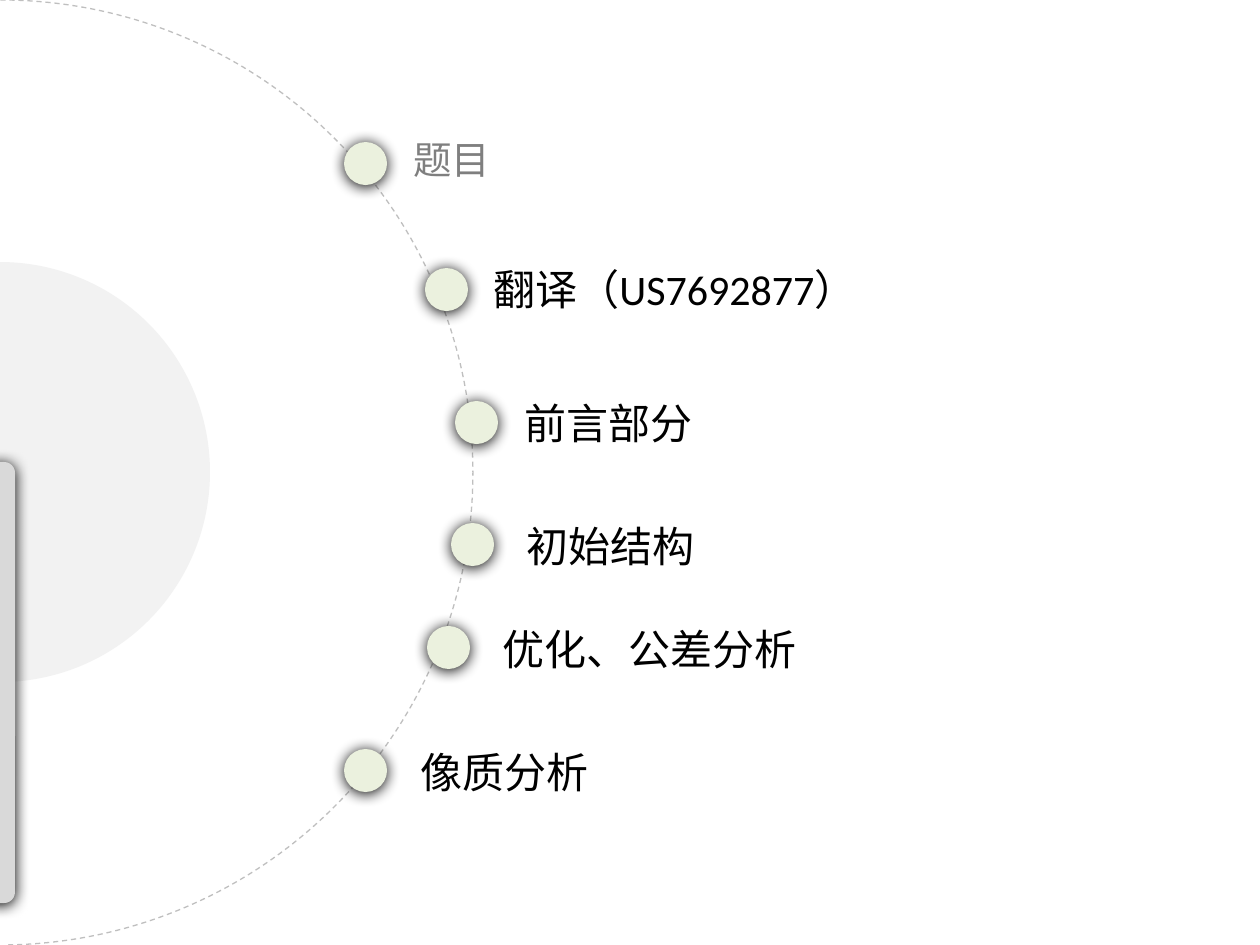
import pptx
import pptx.util
import pptx.oxml
import pptx.oxml.ns
import pptx.dml.color
import pptx.enum.dml
import pptx.enum.shapes
import pptx.enum.text

SCALE = 914400 / 126
KIND = pptx.enum.shapes.MSO_SHAPE
THEME = {
    "page": "FFFFFF",
    "rim": "BFBFBF",
    "core": "F2F2F2",
    "bar": "D9D9D9",
    "dot": "EBF1DE",
    "shade": "000000",
    "past": {"color": "7F7F7F", "size": 22, "name": "Noto Sans CJK SC"},
    "next": {"color": "000000", "size": 24, "name": "Calibri"},
    "asian": "Noto Sans CJK SC",
}
SHADE = (
    f'<a:effectLst {pptx.oxml.ns.nsdecls("a")}>'
    '<a:outerShdw blurRad="107950" dist="12700" dir="5400000" algn="ctr" rotWithShape="0">'
    f'<a:srgbClr val="{THEME["shade"]}"/></a:outerShdw></a:effectLst>'
)


def px(*nums):
    return [pptx.util.Emu(round(num * SCALE)) for num in nums]


def draw(kind, box, fill, shade=False):
    shape = slide.shapes.add_shape(kind, *px(*box))
    shape.shadow.inherit = False
    shape.fill.solid()
    shape.fill.fore_color.rgb = pptx.dml.color.RGBColor.from_string(fill)
    shape.line.fill.background()
    if shade:
        props = shape.element.spPr
        props.remove(props.find(pptx.oxml.ns.qn("a:effectLst")))
        props.append(pptx.oxml.parse_xml(SHADE))
    return shape


deck = pptx.Presentation()
deck.slide_width, deck.slide_height = px(1260, 945)
slide = deck.slides.add_slide(deck.slide_layouts[6])

ring = draw(KIND.ARC, (-472, 0, 945, 945), THEME["page"])
core = draw(KIND.ARC, (-210, 262, 420, 420), THEME["core"])
for arc, end in ((ring, 53.71), (core, 53.6)):
    arc.adjustments[0] = 162
    arc.adjustments[1] = end
ring.line.color.rgb = pptx.dml.color.RGBColor.from_string(THEME["rim"])
form = {"width": pptx.util.Pt(0.75), "dash_style": pptx.enum.dml.MSO_LINE.DASH}
for key, val in form.items():
    setattr(ring.line, key, val)

bar = draw(KIND.ROUNDED_RECTANGLE, (-16, 462, 31, 441), THEME["bar"], True)
bar.adjustments[0] = 0.35
bar.rotation = 180

items = (
    ("题目", "past", (344, 142), (401, 130, 529, 59)),
    ("翻译（US7692877）", "next", (425, 268), (481, 257, 529, 63)),
    ("前言部分", "next", (455, 401), (512, 391, 529, 63)),
    ("初始结构", "next", (451, 523), (514, 514, 475, 63)),
    ("优化、公差分析", "next", (427, 626), (490, 617, 475, 63)),
    ("像质分析", "next", (344, 749), (408, 740, 475, 63)),
)
for text, state, spot, box in items:
    draw(KIND.OVAL, (*spot, 43, 43), THEME["dot"], True)
    frame = slide.shapes.add_textbox(*px(*box)).text_frame
    form = {"word_wrap": True, "auto_size": pptx.enum.text.MSO_AUTO_SIZE.SHAPE_TO_FIT_TEXT}
    for key, val in form.items():
        setattr(frame, key, val)
    run = frame.paragraphs[0].add_run()
    run.text = text
    look = THEME[state]
    run.font.color.rgb = pptx.dml.color.RGBColor.from_string(look["color"])
    form = {"size": pptx.util.Pt(look["size"]), "name": look["name"]}
    for key, val in form.items():
        setattr(run.font, key, val)
    asian = f'<a:ea {pptx.oxml.ns.nsdecls("a")} typeface="{THEME["asian"]}"/>'
    run.font._element.append(pptx.oxml.parse_xml(asian)) if hasattr(run.font, "_element") else run._r.get_or_add_rPr().append(pptx.oxml.parse_xml(asian))

deck.save("out.pptx")
